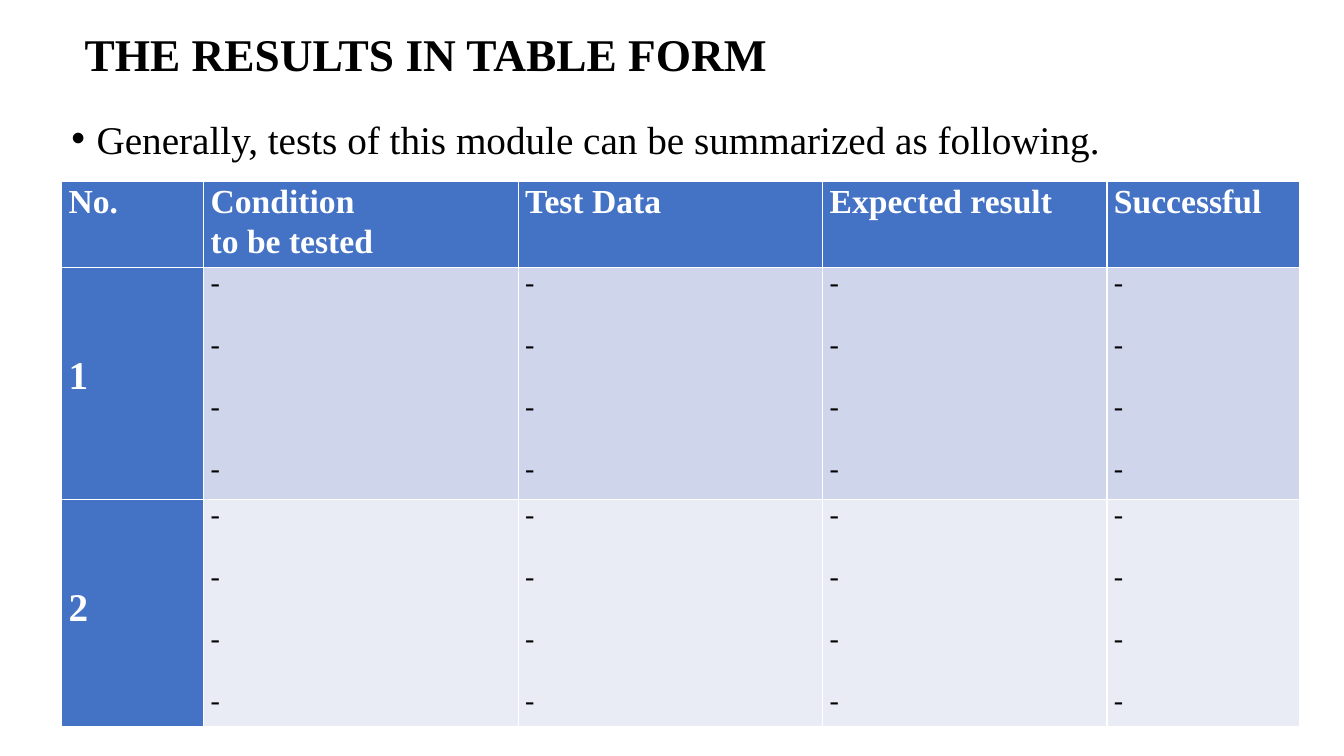
from lxml.etree import SubElement as Sub
from pptx import Presentation
from pptx.dml.color import RGBColor as Rgb
from pptx.enum.text import MSO_ANCHOR as Anchor
from pptx.oxml.ns import qn
from pptx.util import Inches, Pt

FONT = "Times New Roman"
BLUE, WHITE, BLACK = "4472C4", "FFFFFF", "000000"
BANDS = ["CFD5EA", "E9EBF5"]
HEADS = ["No.", "Condition\vto be tested", "Test Data",
         "Expected result", "Successful"]
COLS = [1.41, 3.12, 3.02, 2.82, 1.91]
ROWS = [0.81, 2.3, 2.2]


def color(code):
    """Turn a hex string into a colour."""
    return Rgb.from_string(code)


def write(frame, text, size=20, ink=BLACK, bold=False, line=1.0, gap=0):
    """Fill a frame with one paragraph per line of text."""
    frame.word_wrap = True
    for i, part in enumerate(text.split("\n")):
        para = frame.add_paragraph() if i else frame.paragraphs[0]
        para.text = part
        para.line_spacing = line
        para.space_before = Pt(gap if i else 0)
        for run in para.runs:
            font = run.font
            font.name, font.size, font.bold = FONT, Pt(size), bold
            font.color.rgb = color(ink)


def add_box(slide, box):
    """Add an empty text box and return its frame."""
    return slide.shapes.add_textbox(*map(Inches, box)).text_frame


def add_title(slide, box):
    """Place the heading, centred on the height of its box."""
    frame = add_box(slide, box)
    frame.vertical_anchor = Anchor.MIDDLE
    write(frame, "THE RESULTS IN TABLE FORM", size=32.4, bold=True)


def add_intro(slide, box):
    """Place the bulleted sentence."""
    frame = add_box(slide, box)
    write(frame, "Generally, tests of this module can be summarized "
          "as following.", size=28)
    props = frame.paragraphs[0]._p.get_or_add_pPr()
    props.set("marL", str(Inches(0.25)))
    props.set("indent", str(-Inches(0.25)))
    Sub(props, qn("a:buFont")).set("typeface", "Arial")
    Sub(props, qn("a:buChar")).set("char", "•")


def set_cell(cell, text, fill, top=0, **style):
    """Fill one table cell with colour and text."""
    cell.fill.solid()
    cell.fill.fore_color.rgb = color(fill)
    cell.margin_left = cell.margin_right = Inches(0.07)
    cell.margin_top, cell.margin_bottom = Inches(top), 0
    write(cell.text_frame, text, **style)


def add_tests(slide, left, top):
    """Place the table of test results."""
    table = slide.shapes.add_table(
        len(ROWS), len(COLS), Inches(left), Inches(top),
        Inches(sum(COLS)), Inches(sum(ROWS))).table
    table.first_col = True
    for col, width in zip(table.columns, COLS):
        col.width = Inches(width)
    for row, height in zip(table.rows, ROWS):
        row.height = Inches(height)
    for c, head in enumerate(HEADS):
        set_cell(table.cell(0, c), head, BLUE,
                 size=24, ink=WHITE, bold=True, line=1.07)
    dashes = "\n".join("-" * 4)
    for r, band in enumerate(BANDS, 1):
        set_cell(table.cell(r, 0), str(r), BLUE, top=0.86,
                 size=28, ink=WHITE, bold=True)
        for c in range(1, len(COLS)):
            set_cell(table.cell(r, c), dashes, band, gap=22.15)


def main():
    """Build the slide and save it."""
    deck = Presentation()
    deck.slide_width, deck.slide_height = Inches(13.33), Inches(7.5)
    slide = deck.slides.add_slide(deck.slide_layouts[6])
    add_title(slide, (0.74, 0.2, 11.68, 0.65))
    add_intro(slide, (0.61, 1.09, 12.14, 0.6))
    add_tests(slide, 0.61, 1.8)
    deck.save("out.pptx")


main()
